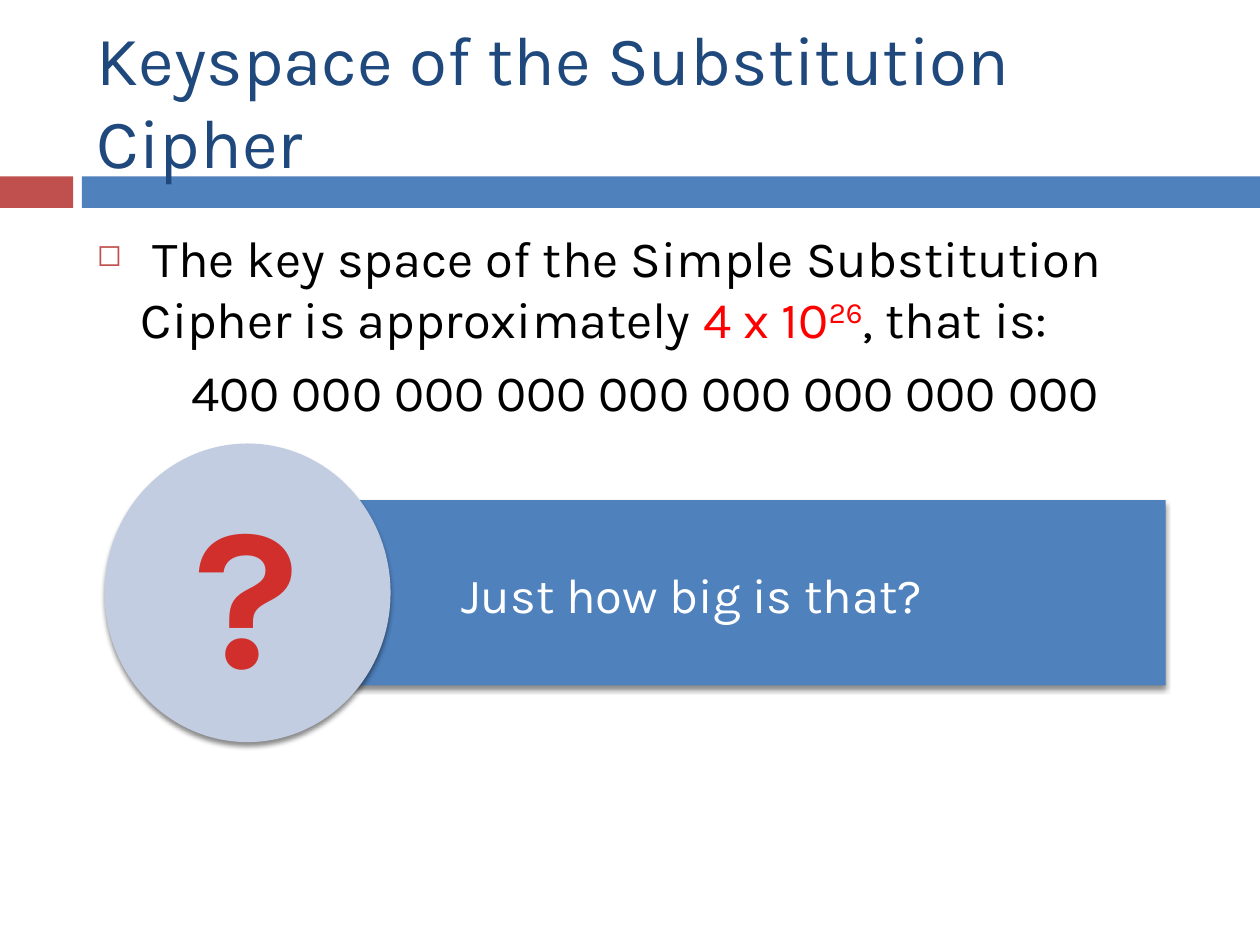
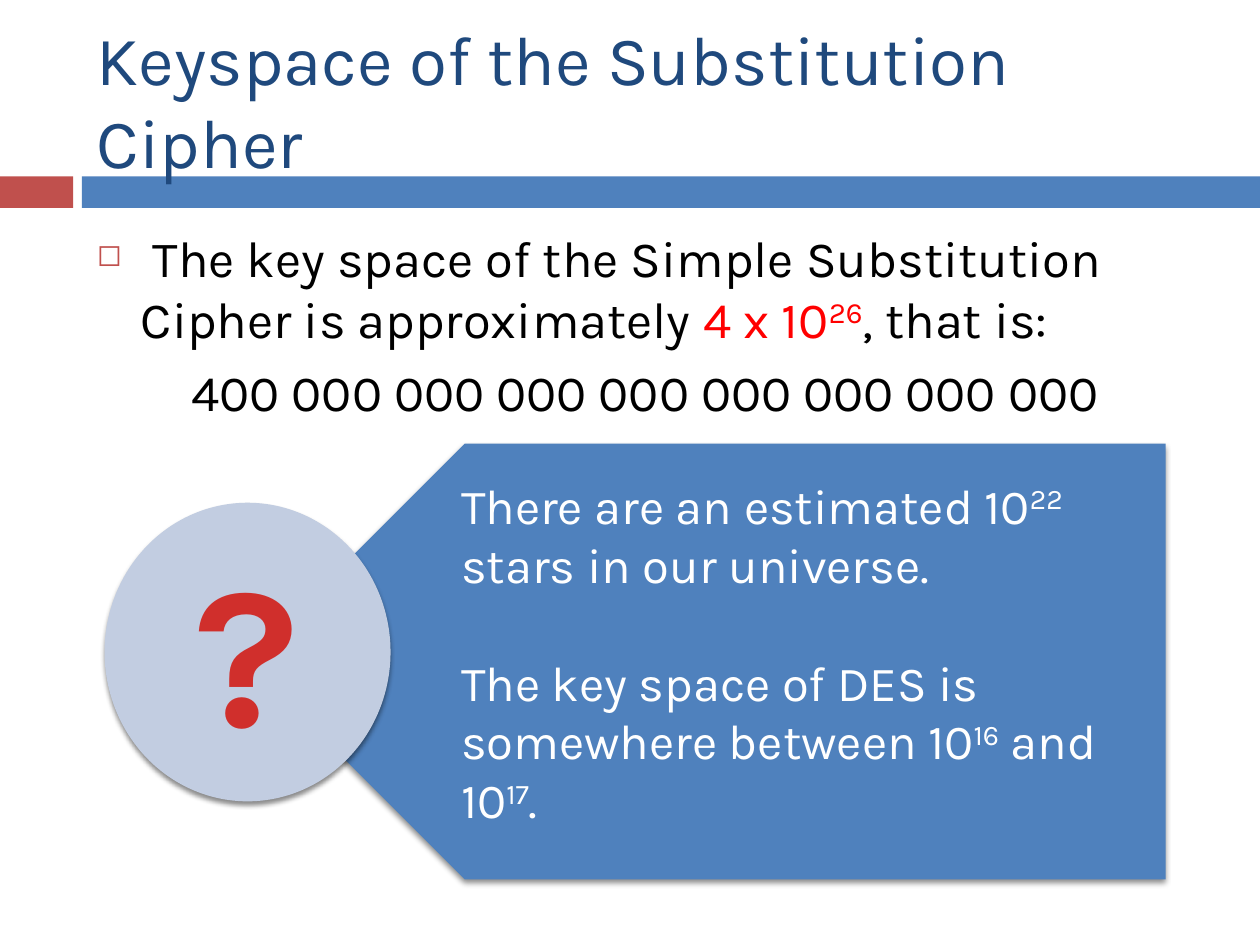
from dataclasses import dataclass

from lxml.etree import SubElement
from pptx import Presentation
from pptx.dml.color import RGBColor as RGB
from pptx.enum.shapes import MSO_SHAPE as SHAPE
from pptx.enum.text import MSO_ANCHOR as ANCHOR, PP_ALIGN as ALIGN
from pptx.oxml.ns import qn
from pptx.util import Inches, Pt


@dataclass(frozen=True)
class Theme:
    font: str = "Karla"
    navy: str = "1F497D"
    blue: str = "4F81BD"
    brick: str = "C0504D"
    pale: str = "C2CDE1"
    mark: str = "D02F2C"
    accent: str = "FF0000"
    black: str = "000000"
    white: str = "FFFFFF"
    title_size: float = 39.6
    body_size: float = 29
    answer_size: float = 28
    mark_size: float = 115


theme = Theme()


def write(slide, box, paragraphs, *, size, color, bold=False, align=ALIGN.LEFT,
          anchor=ANCHOR.TOP, wrap=True, before=0, insets=(0.1, 0.05, 0.1, 0.05)):
    """Each paragraph is a list of runs: (text, colour or None, superscript)."""
    frame = slide.shapes.add_textbox(*map(Inches, box)).text_frame
    frame.word_wrap, frame.vertical_anchor = wrap, anchor
    (frame.margin_left, frame.margin_top,
     frame.margin_right, frame.margin_bottom) = map(Inches, insets)
    for number, runs in enumerate(paragraphs):
        paragraph = frame.add_paragraph() if number else frame.paragraphs[0]
        paragraph.alignment, paragraph.space_before = align, Pt(before)
        for text, tint, raised in runs:
            run = paragraph.add_run()
            run.text = text
            run.font.name, run.font.size, run.font.bold = theme.font, Pt(size), bold
            run.font.color.rgb = RGB.from_string(tint or color)
            if raised:
                run.font._element.set("baseline", "30000")
    return frame.paragraphs


def draw(slide, kind, box, fill, shadow=False):
    shape = slide.shapes.add_shape(kind, *map(Inches, box))
    shape.shadow.inherit = False
    shape.fill.solid()
    shape.fill.fore_color.rgb = RGB.from_string(fill)
    shape.line.fill.background()
    if shadow:
        effects = shape._element.spPr.find(qn("a:effectLst"))
        outer = SubElement(effects, qn("a:outerShdw"), blurRad=str(Pt(3)),
                           dist=str(Pt(2.4)), dir="5400000", rotWithShape="0")
        black = SubElement(outer, qn("a:srgbClr"), val=theme.black)
        SubElement(black, qn("a:alpha"), val="45000")
    return shape


key_space = [
    [(" The key space of the Simple Substitution Cipher is approximately ", None, False),
     ("4 x 10", theme.accent, False), ("26", theme.accent, True),
     (", that is:", None, False)],
    [("400 000 000 000 000 000 000 000 000", None, False)],
]
question = [[("Just how big is that?", None, False)]]
comparison = [
    [("There are an estimated 10", None, False), ("22 ", None, True),
     ("stars in our universe.", None, False)],
    [("The key space of DES is somewhere between 10", None, False), ("16", None, True),
     (" and 10", None, False), ("17", None, True), (".", None, False)],
]

# Per slide: callout text, its top and height, plate top and height, disc top
callouts = [
    (question, 3.36, 2.71, 3.97, 1.47, 3.52),
    (comparison, 3.6, 3.15, 3.52, 3.46, 3.99),
]

deck = Presentation()
deck.slide_width, deck.slide_height = Inches(10), Inches(7.5)

for answer, answer_top, answer_height, plate_top, plate_height, disc_top in callouts:
    slide = deck.slides.add_slide(deck.slide_layouts[6])

    # Band and title
    draw(slide, SHAPE.RECTANGLE, (0, 1.4, 0.58, 0.25), theme.brick)
    draw(slide, SHAPE.RECTANGLE, (0.65, 1.4, 9.35, 0.25), theme.blue)
    write(slide, (0.67, 0.25, 8.92, 1.08),
          [[("Keyspace of the Substitution Cipher", None, False)]],
          size=theme.title_size, color=theme.navy, anchor=ANCHOR.MIDDLE)

    # Key space statement: a bulleted line and the number written out
    statement, number = write(slide, (0.67, 1.75, 8.92, 5.39), key_space,
                              size=theme.body_size, color=theme.black, before=7)
    bullet = statement._p.get_or_add_pPr()
    bullet.set("marL", str(Inches(0.35)))
    bullet.set("indent", str(-Inches(0.35)))
    SubElement(SubElement(bullet, qn("a:buClr")), qn("a:srgbClr"), val=theme.brick)
    SubElement(bullet, qn("a:buSzPct"), val="60000")
    SubElement(bullet, qn("a:buChar"), char="◻")
    number._p.get_or_add_pPr().set("marL", str(Inches(0.75)))

    # Callout plate, pointing left
    plate = draw(slide, SHAPE.PENTAGON, (1.96, plate_top, 7.29, plate_height),
                 theme.blue, shadow=True)
    plate.rotation = 180
    lines = write(slide, (2.68, answer_top, 6.57, answer_height), answer,
                  size=theme.answer_size, color=theme.white,
                  anchor=ANCHOR.MIDDLE, insets=(0.98, 0.09, 0.16, 0.09))
    for later in lines[1:]:
        later.space_before = Pt(33.7)

    # Question mark disc
    draw(slide, SHAPE.OVAL, (0.83, disc_top, 2.27, 2.37), theme.pale, shadow=True)
    write(slide, (1.44, disc_top + 0.13, 1.03, 2.16), [[("?", None, False)]],
          size=theme.mark_size, color=theme.mark, bold=True,
          align=ALIGN.CENTER, wrap=False)

deck.save("out.pptx")
